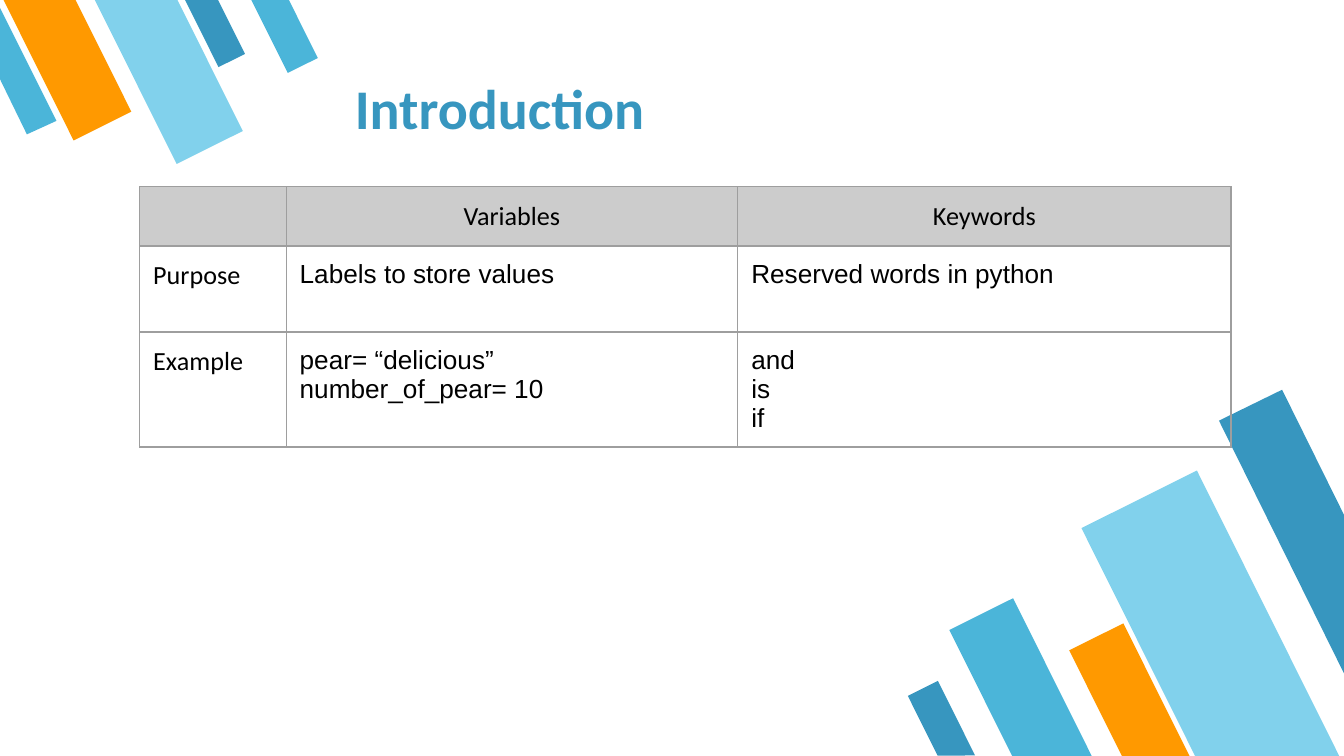
"""Build the Introduction slide: a comparison table between slanted colour bars."""
from lxml import etree
from pptx import Presentation
from pptx.dml.color import RGBColor
from pptx.enum.shapes import MSO_SHAPE
from pptx.enum.text import MSO_ANCHOR, MSO_AUTO_SIZE, PP_ALIGN
from pptx.oxml.ns import qn
from pptx.util import Inches, Pt

BAR = MSO_SHAPE.FLOWCHART_MANUAL_INPUT
LEFT, CENTER = PP_ALIGN.LEFT, PP_ALIGN.CENTER
BOTTOM, FIXED = MSO_ANCHOR.BOTTOM, MSO_AUTO_SIZE.NONE
BLUE = RGBColor(0x37, 0x96, 0xBF)
CYAN = RGBColor(0x4B, 0xB5, 0xD9)
SKY = RGBColor(0x81, 0xD1, 0xEC)
ORANGE = RGBColor(0xFF, 0x99, 0x00)
GRAY = RGBColor(0xCC, 0xCC, 0xCC)
BLACK = RGBColor(0, 0, 0)
EDGE = RGBColor(0x9E, 0x9E, 0x9E)

WIDE = Inches(10)
TITLE = "Introduction"
ROWS = [
    ["", "Variables", "Keywords"],
    ["Purpose", "Labels to store values", "Reserved words in python"],
    ["Example", "pear= “delicious”\nnumber_of_pear= 10", "and\nis\nif"],
]
WIDTHS = [1.09, 3.36, 3.67]
HEIGHTS = [0.44, 0.64, 0.85]
BARS = {
    153.5: [
        (7.33, 4.5, 0.53, 1.32, CYAN),
        (8.53, 3.59, 0.96, 2.39, SKY),
        (8.18, 4.68, 0.45, 1.11, ORANGE),
        (6.88, 5.09, 0.25, 0.62, BLUE),
    ],
    333.5: [
        (1.49, -0.08, 0.22, 0.56, BLUE),
        (0.26, -0.18, 0.48, 1.18, ORANGE),
        (0.98, -0.2, 0.55, 1.37, SKY),
        (1.99, -0.1, 0.25, 0.62, CYAN),
    ],
}
CUT_BARS = [
    ([(9.54, 2.9), (9.07, 3.13), (10, 5.01), (10, 3.83)], BLUE),
    ([(0.2, 1), (0.42, 0.9), (0, 0.06), (0, 0.59)], CYAN),
]


def put(item, values):
    """Set each named attribute of the item."""
    for name, value in values.items():
        setattr(item, name, value)


def style(font, name, size, color, bold=False):
    """Format a font."""
    put(font, {"name": name, "size": Pt(size), "bold": bold})
    font.color.rgb = color


def paint(shape, color):
    """Give a bar a plain fill."""
    shape.shadow.inherit = False
    shape.fill.solid()
    shape.fill.fore_color.rgb = color
    shape.line.fill.background()


def add_bars(shapes):
    """Draw the bars in both corners."""
    for angle, bars in BARS.items():
        for *box, color in bars:
            bar = shapes.add_shape(BAR, *map(Inches, box))
            bar.rotation = angle
            bar.element.spPr.find(qn("a:xfrm")).set("flipH", "1")
            paint(bar, color)
    for points, color in CUT_BARS:
        first, *rest = [(Inches(x), Inches(y)) for x, y in points]
        pen = shapes.build_freeform(*first)
        pen.add_line_segments(rest, close=True)
        paint(pen.convert_to_shape(), color)


def add_title(title):
    """Place and format the title."""
    box = map(Inches, (2.57, 0.49, 7.09, 0.63))
    put(title, dict(zip(("left", "top", "width", "height"), box)))
    frame = title.text_frame
    put(frame, {"text": TITLE, "vertical_anchor": BOTTOM, "auto_size": FIXED, "word_wrap": True})
    sides = ("left", "right", "top", "bottom")
    put(frame, {f"margin_{side}": Inches(0.07) for side in sides})
    frame.paragraphs[0].alignment = LEFT
    style(frame.paragraphs[0].runs[0].font, "Calibri", 30, BLUE, True)


def add_edges(cell):
    """Draw thin lines on all sides of a cell."""
    props = cell._tc.get_or_add_tcPr()
    for side in "LRTB":
        line = etree.SubElement(props, qn(f"a:ln{side}"), w=str(Pt(0.75)))
        fill = etree.SubElement(line, qn("a:solidFill"))
        etree.SubElement(fill, qn("a:srgbClr"), val=str(EDGE))


def fill_cell(cell, text, row, col):
    """Write and format one cell."""
    cell.text = text
    sides = ("left", "right", "top", "bottom")
    put(cell, {f"margin_{side}": Inches(0.1) for side in sides})
    add_edges(cell)
    if row == 0:
        cell.fill.solid()
        cell.fill.fore_color.rgb = GRAY
    else:
        cell.fill.background()
    face = "Arial" if row and col else "Calibri"
    for para in cell.text_frame.paragraphs:
        para.alignment = LEFT if row else CENTER
        for run in para.runs:
            style(run.font, face, 14, BLACK)
        etree.SubElement(para._p, qn("a:endParaRPr"), sz="1400")


def add_grid(shapes):
    """Build the comparison table."""
    box = (1.04, 1.39, sum(WIDTHS), sum(HEIGHTS))
    table = shapes.add_table(len(ROWS), len(WIDTHS), *map(Inches, box)).table
    put(table, {"first_row": False, "horz_banding": False})
    for col, width in zip(table.columns, WIDTHS):
        col.width = Inches(width)
    for row, height in zip(table.rows, HEIGHTS):
        row.height = Inches(height)
    for r, texts in enumerate(ROWS):
        for c, text in enumerate(texts):
            fill_cell(table.cell(r, c), text, r, c)


def main():
    """Assemble and save the slide."""
    deck = Presentation()
    put(deck, {"slide_width": WIDE, "slide_height": WIDE * 9 // 16})
    shapes = deck.slides.add_slide(deck.slide_layouts[5]).shapes
    add_bars(shapes)
    add_title(shapes.title)
    add_grid(shapes)
    deck.save("out.pptx")


if __name__ == "__main__":
    main()
